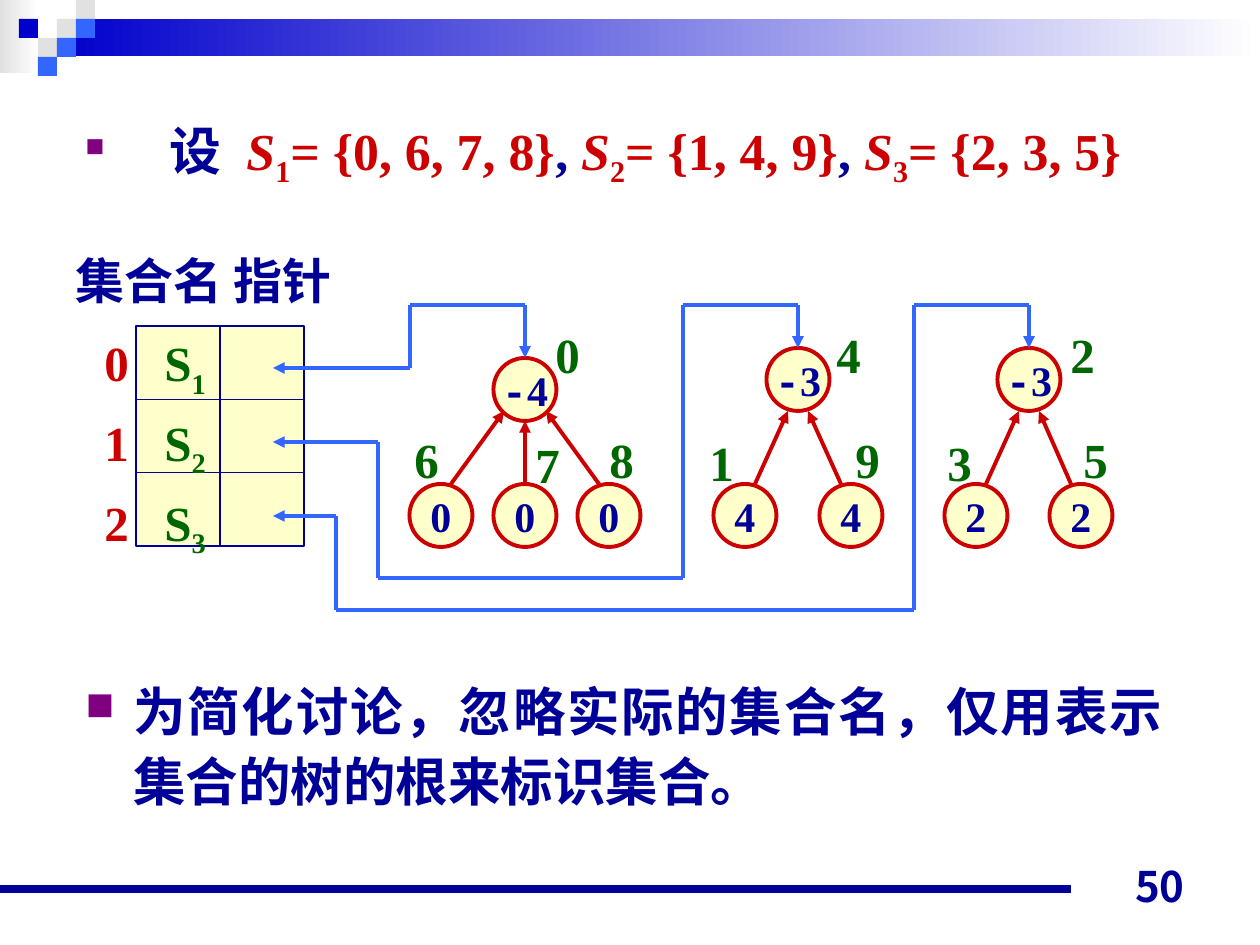
from itertools import pairwise

from lxml import etree
from pptx import Presentation
from pptx.dml.color import RGBColor
from pptx.enum.shapes import MSO_CONNECTOR, MSO_SHAPE
from pptx.enum.text import MSO_ANCHOR, PP_ALIGN
from pptx.oxml.ns import qn
from pptx.util import Pt

RECT, OVAL, STRAIGHT = MSO_SHAPE.RECTANGLE, MSO_SHAPE.OVAL, MSO_CONNECTOR.STRAIGHT
CENTER, RIGHT, JUSTIFY = PP_ALIGN.CENTER, PP_ALIGN.RIGHT, PP_ALIGN.JUSTIFY
TOP, MIDDLE, BOTTOM = MSO_ANCHOR.TOP, MSO_ANCHOR.MIDDLE, MSO_ANCHOR.BOTTOM
EMU_PER_PX = 914400 / 126

NAVY, RED, GREEN, BLUE = "000099", "CC0000", "006600", "3366FF"
CREAM, PURPLE, GRAY, DEEP_BLUE, WHITE = "FFFFCC", "800080", "E1E1E1", "0000CC", "FFFFFF"
SERIF, SANS, CJK, MONO = "Times New Roman", "Arial", "Noto Sans CJK SC", "Courier New"
PAGE_FONT = "Noto Sans CJK JP"

SETS = [("1", "{0, 6, 7, 8}"), ("2", "{1, 4, 9}"), ("3", "{2, 3, 5}")]
TABLE_TITLE = "集合名 指针"
REMARK = "为简化讨论，忽略实际的集合名，仅用表示集合的树的根来标识集合。"
PAGE_NUMBER = "50"

# Logo mosaic: column, row, colour
MOSAIC = [(3, 1, GRAY), (4, 0, GRAY), (4, 1, BLUE), (2, 2, GRAY),
          (1, 1, DEEP_BLUE), (3, 2, BLUE), (2, 3, BLUE)]
MOSAIC_STEP = 19

# root: centre x, top, parent value; label: index, left, top
# children: centre x, parent value, index, label left, label top
# reach: distance from the root's centre line to a side arrow's tip
# wire: bends between the table's pointer cell and the root
TREES = [
    {"root": (525, 358, "4"), "label": ("0", 543, 318), "reach": 21,
     "children": [(441, "0", "6", 402, 423), (525, "0", "7", 523, 428),
                  (609, "0", "8", 597, 423)],
     "wire": [(410, 368), (410, 305)]},
    {"root": (798, 348, "3"), "label": ("4", 824, 318), "reach": 10,
     "children": [(745, "4", "1", 697, 426), (851, "4", "9", 843, 423)],
     "wire": [(378, 442), (378, 578), (683, 578), (683, 305)]},
    {"root": (1029, 348, "3"), "label": ("2", 1058, 318), "reach": 10,
     "children": [(976, "2", "3", 935, 426), (1081, "2", "5", 1071, 423)],
     "wire": [(336, 516), (336, 610), (914, 610), (914, 305)]},
]
NODE_SIZE, CHILD_TOP, ARROW_TIP, WIRE_TOP, POINTER_X = 63, 484, 411, 305, 273
TABLE_LEFT, TABLE_TOP, TABLE_WIDTH, TABLE_HEIGHT = 136, 326, 168, 220


def px(value):
    return round(value * EMU_PER_PX)


def rgb(color):
    return RGBColor.from_string(color)


def add_shape(kind, left, top, width, height, fill, line=None, weight=1):
    """Fill may be one colour or a left-to-right pair."""
    shape = slide.shapes.add_shape(kind, px(left), px(top), px(width), px(height))
    shape.shadow.inherit = False
    if isinstance(fill, tuple):
        shape.fill.gradient()
        shape.fill.gradient_angle = 0
        for stop, color in zip(shape.fill.gradient_stops, fill):
            stop.color.rgb = rgb(color)
    else:
        shape.fill.solid()
        shape.fill.fore_color.rgb = rgb(fill)
    if line:
        shape.line.color.rgb = rgb(line)
        shape.line.width = Pt(weight)
    else:
        shape.line.fill.background()
    return shape


def add_line(start, end, color, weight, arrow=False):
    line = slide.shapes.add_connector(STRAIGHT, *map(px, (*start, *end)))
    line.line.color.rgb = rgb(color)
    line.line.width = Pt(weight)
    if arrow:
        etree.SubElement(line.line._get_or_add_ln(), qn("a:tailEnd"), type="triangle")
    etree.SubElement(line._element.spPr, qn("a:effectLst"))
    return line


def add_runs(paragraph, runs, size):
    """Each run is (text, colour, font) with an optional "sub" or "italic"."""
    for text, color, font, *style in runs:
        run = paragraph.add_run()
        run.text = text
        run.font.size, run.font.bold, run.font.name = Pt(size), True, font
        run.font.italic = "italic" in style
        run.font.color.rgb = rgb(color)
        properties = run.font._element
        etree.SubElement(properties, qn("a:ea"), typeface=CJK)
        if "sub" in style:
            properties.set("baseline", "-25000")


def add_text(left, top, width, height, runs, size, align=None, anchor=TOP):
    box = slide.shapes.add_textbox(px(left), px(top), px(width), px(height))
    frame = box.text_frame
    frame.word_wrap = True
    frame.vertical_anchor = anchor
    paragraph = frame.paragraphs[0]
    paragraph.alignment = align
    add_runs(paragraph, runs, size)
    return frame


def add_tab(paragraph, position):
    tabs = etree.SubElement(paragraph._p.get_or_add_pPr(), qn("a:tabLst"))
    etree.SubElement(tabs, qn("a:tab"), pos=str(px(position)), algn="l")


def add_bullet(paragraph, indent, percent):
    properties = paragraph._p.get_or_add_pPr()
    properties.set("marL", str(px(indent)))
    properties.set("indent", str(-px(indent)))
    color = etree.SubElement(properties, qn("a:buClr"))
    etree.SubElement(color, qn("a:srgbClr"), val=PURPLE)
    etree.SubElement(properties, qn("a:buSzPct"), val=str(percent * 1000))
    etree.SubElement(properties, qn("a:buChar"), char="■")


def add_node(center_x, top, runs):
    node = add_shape(OVAL, center_x - NODE_SIZE / 2, top, NODE_SIZE, NODE_SIZE, CREAM, RED, 2.25)
    frame = node.text_frame
    frame.margin_left = frame.margin_right = frame.margin_top = frame.margin_bottom = 0
    frame.word_wrap = False
    frame.vertical_anchor = MIDDLE
    frame.paragraphs[0].alignment = CENTER
    add_runs(frame.paragraphs[0], runs, 24)
    return node


def add_index(text, left, top):
    add_text(left, top, 56, 72, [(text, GREEN, SERIF)], 28)


def add_tree(tree, row):
    root_x, root_top, root_value = tree["root"]
    root = add_node(root_x, root_top, [("-", NAVY, MONO), (root_value, NAVY, SERIF)])
    add_index(*tree["label"])
    for child_x, value, index, left, top in tree["children"]:
        add_node(child_x, CHILD_TOP, [(value, NAVY, SERIF)])
        side = (child_x > root_x) - (child_x < root_x)
        tip = ARROW_TIP if side else root_top + NODE_SIZE
        add_line((child_x - 10 * side, CHILD_TOP), (root_x + tree["reach"] * side, tip),
                 RED, 2.25, arrow=True)
        add_index(index, left, top)
    bends = tree["wire"] + [(root_x, WIRE_TOP)]
    for start, end in pairwise(bends):
        add_line(start, end, BLUE, 2.25)
    add_line(bends[0], (POINTER_X, 368 + 74 * row), BLUE, 2.25, arrow=True)
    add_line(bends[-1], (root_x, root_top), BLUE, 2.25, arrow=True).end_connect(root, 0)


presentation = Presentation()
presentation.slide_width, presentation.slide_height = px(1260), px(945)
slide = presentation.slides.add_slide(presentation.slide_layouts[6])

add_shape(RECT, 0, 0, 39, 73, (GRAY, WHITE))
add_shape(RECT, 57, 19, 1203, 37, (DEEP_BLUE, WHITE))
for column, row, color in MOSAIC:
    add_shape(RECT, column * MOSAIC_STEP, row * MOSAIC_STEP, MOSAIC_STEP, MOSAIC_STEP, color)
add_line((0, 889), (1071, 889), NAVY, 4.5)

definition = [("设\t", NAVY, SERIF)]
for number, members in SETS:
    if number != SETS[0][0]:
        definition.append((", ", NAVY, SERIF))
    definition += [("S", RED, SERIF, "italic"), (number, RED, SERIF, "sub"),
                   (f"= {members}", RED, SERIF)]
heading = add_text(73, 112, 1142, 108, definition, 29.6).paragraphs[0]
add_bullet(heading, 84, 50)
add_tab(heading, 161)
heading.line_spacing = 0.95

remark = add_text(73, 667, 1102, 168, [(REMARK, NAVY, SANS)], 30, JUSTIFY).paragraphs[0]
add_bullet(remark, 48, 75)
remark.line_spacing = 1.1

add_shape(RECT, TABLE_LEFT, TABLE_TOP, TABLE_WIDTH, TABLE_HEIGHT, CREAM, NAVY, 1.5)
middle_x, bottom = TABLE_LEFT + TABLE_WIDTH / 2, TABLE_TOP + TABLE_HEIGHT
add_line((middle_x, TABLE_TOP), (middle_x, bottom), NAVY, 0.75)
for row in range(1, len(SETS)):
    y = TABLE_TOP + row * TABLE_HEIGHT / len(SETS)
    add_line((TABLE_LEFT, y), (TABLE_LEFT + TABLE_WIDTH, y), NAVY, 0.75)
add_text(63, 244, 324, 72, [(TABLE_TITLE, NAVY, CJK)], 28)
names = add_text(92, 320, 127, 246, [], 28)
for row, (number, members) in enumerate(SETS):
    name = names.add_paragraph() if row else names.paragraphs[0]
    add_tab(name, 60)
    name.line_spacing = 1.1
    name.space_before = Pt(3.5 if row else 0)
    add_runs(name, [(f"{row}\t", RED, SERIF), ("S", GREEN, SERIF), (number, GREEN, SERIF, "sub")], 28)

for row, tree in enumerate(TREES):
    add_tree(tree, row)

add_text(903, 854, 294, 63, [(PAGE_NUMBER, NAVY, PAGE_FONT)], 24, RIGHT, BOTTOM)

presentation.save("out.pptx")
